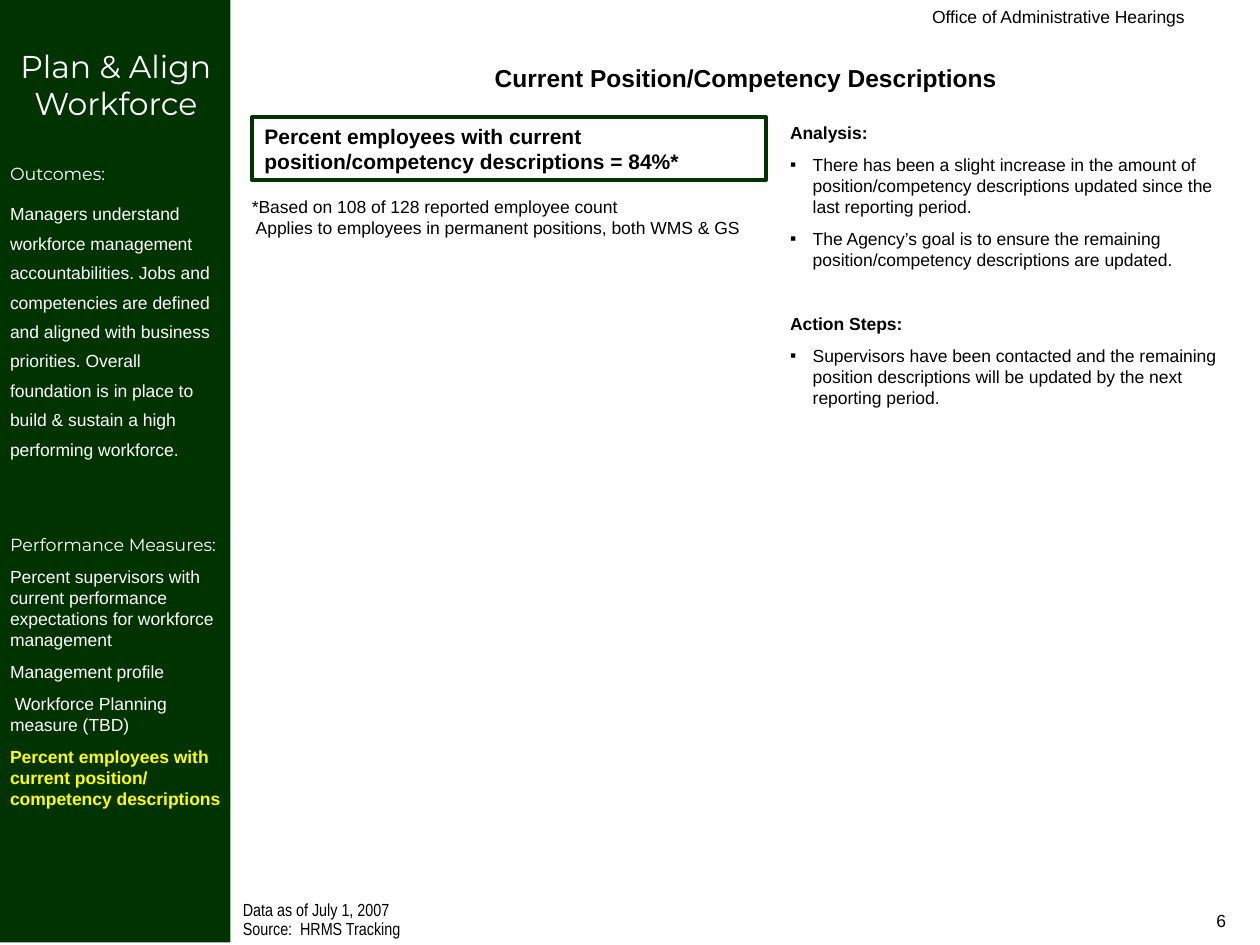
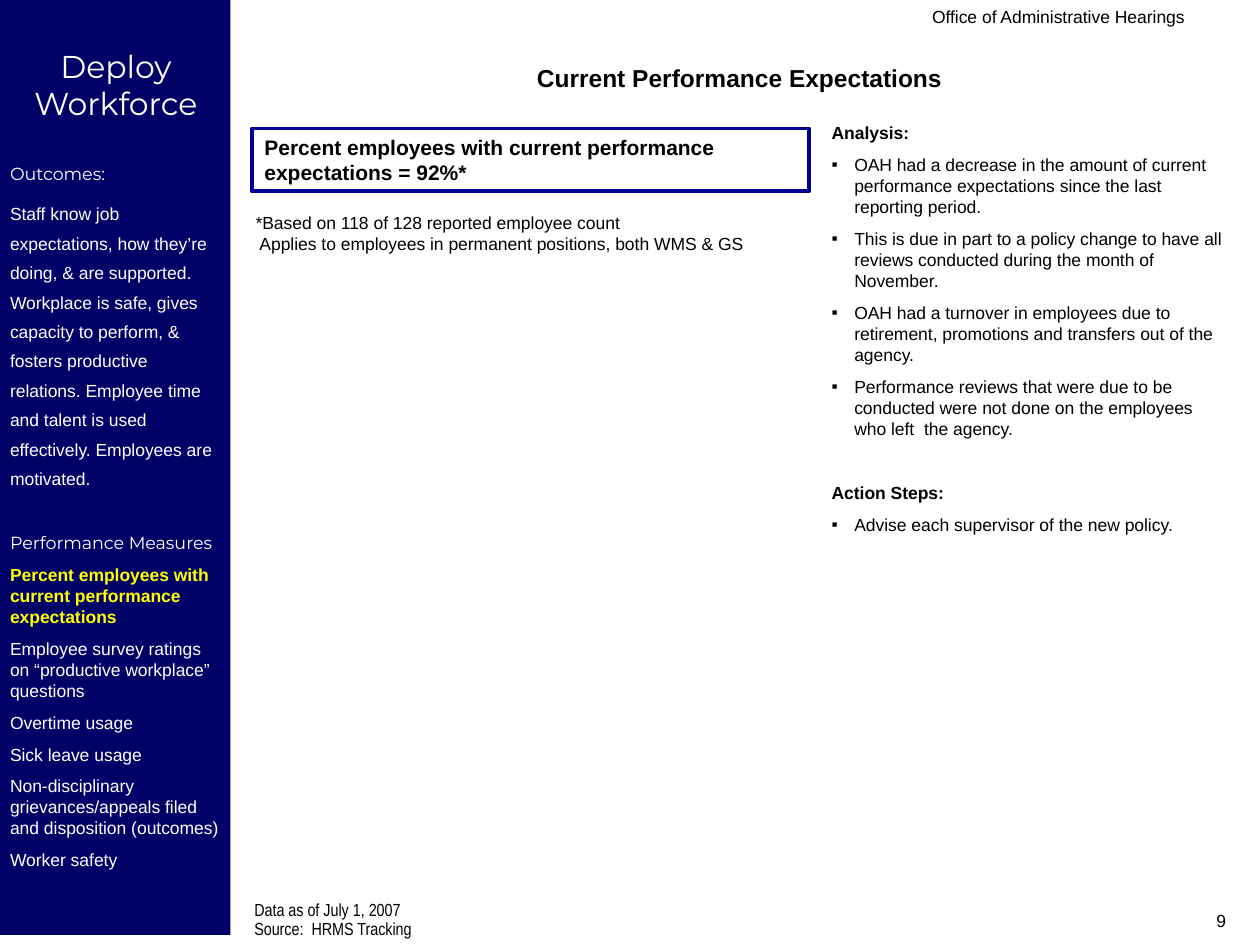
from lxml.etree import SubElement
from pptx import Presentation
from pptx.dml.color import RGBColor
from pptx.enum.shapes import MSO_SHAPE
from pptx.enum.text import MSO_ANCHOR, MSO_AUTO_SIZE, PP_ALIGN
from pptx.oxml.ns import qn
from pptx.util import Inches, Pt

BLACK, WHITE, YELLOW = "000000", "FFFFFF", "FFFF00"
HEADING_FONT = "Montserrat"
BAND_WIDTH = 1.83
BLOCK_GAP = 24.4


def prepare(box, place, insets=(0.1, 0.05, 0.08, 0.05)):
    box.left, box.top, box.width, box.height = [Inches(n) for n in place]
    frame = box.text_frame
    frame.word_wrap = True
    frame.auto_size = MSO_AUTO_SIZE.NONE
    frame.vertical_anchor = MSO_ANCHOR.TOP
    frame.margin_left, frame.margin_top, frame.margin_right, frame.margin_bottom = [
        Inches(n) for n in insets]
    return frame


def write(frame, text, size=10, font="Arial", color=BLACK, bold=False,
          align=PP_ALIGN.LEFT, before=6.2, spacing=1.0, hanging=0, bullet=None):
    first = not frame.text
    para = frame.paragraphs[0] if first else frame.add_paragraph()
    para.alignment = align
    para.line_spacing = spacing
    para.space_before = Pt(0 if first else before)
    properties = para._p.get_or_add_pPr()
    properties.set("marL", str(Inches(hanging)))
    properties.set("indent", str(-Inches(hanging)))
    if bullet:
        bullet_color = SubElement(properties, qn("a:buClr"))
        SubElement(bullet_color, qn("a:srgbClr"), val=BLACK)
        SubElement(properties, qn("a:buFont"), typeface="Arial")
        SubElement(properties, qn("a:buChar"), char=bullet)
    else:
        SubElement(properties, qn("a:buNone"))
    span = para.add_run()
    span.text = text
    span.font.size = Pt(size)
    span.font.name = font
    span.font.bold = bold
    span.font.color.rgb = RGBColor.from_string(color)


PAGES = [
    dict(
        title="Current Position/Competency Descriptions",
        title_place=(1.92, 0.45, 8, 0.34),
        number="6",
        band_color="003300",
        band_height=7.48,
        stage="Plan & Align Workforce",
        outcomes="Managers understand workforce management accountabilities. Jobs and "
                 "competencies are defined and aligned with business priorities. Overall "
                 "foundation is in place to build & sustain a high performing workforce.",
        measures_heading="Performance Measures:",
        measures_gap=42.7,
        measures=[
            "Percent supervisors with current performance expectations for workforce management",
            "Management profile",
            " Workforce Planning measure (TBD)",
            "Percent employees with current position/ competency descriptions",
        ],
        current_measure=3,
        result="Percent employees with current position/competency descriptions = 84%*",
        result_place=(2, 0.93, 4.08, 0.5),
        result_color="003300",
        basis="*Based on 108 of 128 reported employee count",
        basis_place=(1.9, 1.51, 4.15, 0.44),
        list_place=(6.17, 0.92, 3.58, 2.63),
        analysis=[
            "There has been a slight increase in the amount of position/competency "
            "descriptions updated since the last reporting period.",
            "The Agency’s goal is to ensure the remaining position/competency "
            "descriptions are updated.",
        ],
        actions=[
            "Supervisors have been contacted and the remaining position descriptions "
            "will be updated by the next reporting period.",
        ],
        source_left=1.83,
    ),
    dict(
        title="Current Performance Expectations",
        title_place=(1.83, 0.45, 8.08, 0.34),
        number="9",
        band_color="000066",
        band_height=7.42,
        stage="Deploy Workforce",
        outcomes="Staff know job expectations, how they’re doing, & are supported. "
                 "Workplace is safe, gives capacity to perform, & fosters productive "
                 "relations. Employee time and talent is used effectively. Employees "
                 "are motivated.",
        measures_heading="Performance Measures",
        measures_gap=BLOCK_GAP,
        measures=[
            "Percent employees with current performance expectations",
            "Employee survey ratings on “productive workplace” questions",
            "Overtime usage",
            "Sick leave usage",
            "Non-disciplinary grievances/appeals filed and disposition (outcomes)",
            "Worker safety",
        ],
        current_measure=0,
        result="Percent employees with current performance expectations = 92%*",
        result_place=(2, 1.02, 4.42, 0.5),
        result_color="000099",
        basis="*Based on 118 of 128 reported employee count",
        basis_place=(1.93, 1.63, 4.15, 0.44),
        list_place=(6.5, 0.92, 3.33, 4.14),
        analysis=[
            "OAH had a decrease in the amount of current performance expectations "
            "since the last reporting period.",
            "This is due in part to a policy change to have all reviews conducted "
            "during the month of November.",
            "OAH had a turnover in employees due to retirement, promotions and "
            "transfers out of the agency.",
            "Performance reviews that were due to be conducted were not done on the "
            "employees who left  the agency.",
        ],
        actions=["Advise each supervisor of the new policy."],
        source_left=1.92,
    ),
]

deck = Presentation()
deck.slide_width, deck.slide_height = Inches(10), Inches(7.5)

for content in PAGES:
    page = deck.slides.add_slide(deck.slide_layouts[1])
    shapes = page.shapes

    title = prepare(shapes.title, content["title_place"], (0.1, 0.05, 0.1, 0.05))
    write(title, content["title"], size=14, bold=True, align=PP_ALIGN.CENTER)

    findings = prepare(page.placeholders[1], content["list_place"])
    for heading, points in (("Analysis:", content["analysis"]),
                            ("Action Steps:", content["actions"])):
        write(findings, heading, bold=True, before=BLOCK_GAP, hanging=0.18)
        for point in points:
            write(findings, point, hanging=0.18, bullet="▪")

    band = shapes.add_shape(MSO_SHAPE.RECTANGLE, 0, 0, 0, 0)
    band.shadow.inherit = False
    band.fill.solid()
    band.fill.fore_color.rgb = RGBColor.from_string(content["band_color"])
    band.line.fill.background()
    sidebar = prepare(band, (0, 0, BAND_WIDTH, content["band_height"]),
                      (0.08, 0.37, 0.07, 0.04))
    write(sidebar, content["stage"], size=18, font=HEADING_FONT, color=WHITE,
          align=PP_ALIGN.CENTER)
    write(sidebar, "Outcomes:", font=HEADING_FONT, color=WHITE, before=23.3)
    write(sidebar, content["outcomes"], color=WHITE, spacing=1.4)
    write(sidebar, content["measures_heading"], font=HEADING_FONT, color=WHITE,
          before=content["measures_gap"])
    for index, measure in enumerate(content["measures"]):
        current = index == content["current_measure"]
        write(sidebar, measure, color=YELLOW if current else WHITE, bold=current)

    result_box = shapes.add_shape(MSO_SHAPE.RECTANGLE, 0, 0, 0, 0)
    result_box.shadow.inherit = False
    result_box.fill.background()
    result_box.line.color.rgb = RGBColor.from_string(content["result_color"])
    result_box.line.width = Pt(2.25)
    write(prepare(result_box, content["result_place"]), content["result"], size=12, bold=True)

    basis = prepare(shapes.add_textbox(0, 0, 0, 0), content["basis_place"])
    write(basis, content["basis"])
    write(basis, " Applies to employees in permanent positions, both WMS & GS", before=0)

    source = prepare(shapes.add_textbox(0, 0, 0, 0),
                     (content["source_left"], 7.13, 4.83, 0.37))
    for line in ("Data as of July 1, 2007", "Source:  HRMS Tracking"):
        write(source, line, font="Arial Narrow", before=2.5, spacing=0.7)

    for text, place in (("Office of Administrative Hearings", (4.5, 0, 5, 0.25)),
                        (content["number"], (7.5, 7.17, 2.33, 0.33))):
        corner = prepare(shapes.add_textbox(0, 0, 0, 0), place, (0.1, 0.05, 0.1, 0.05))
        write(corner, text, align=PP_ALIGN.RIGHT)

deck.save("out.pptx")
